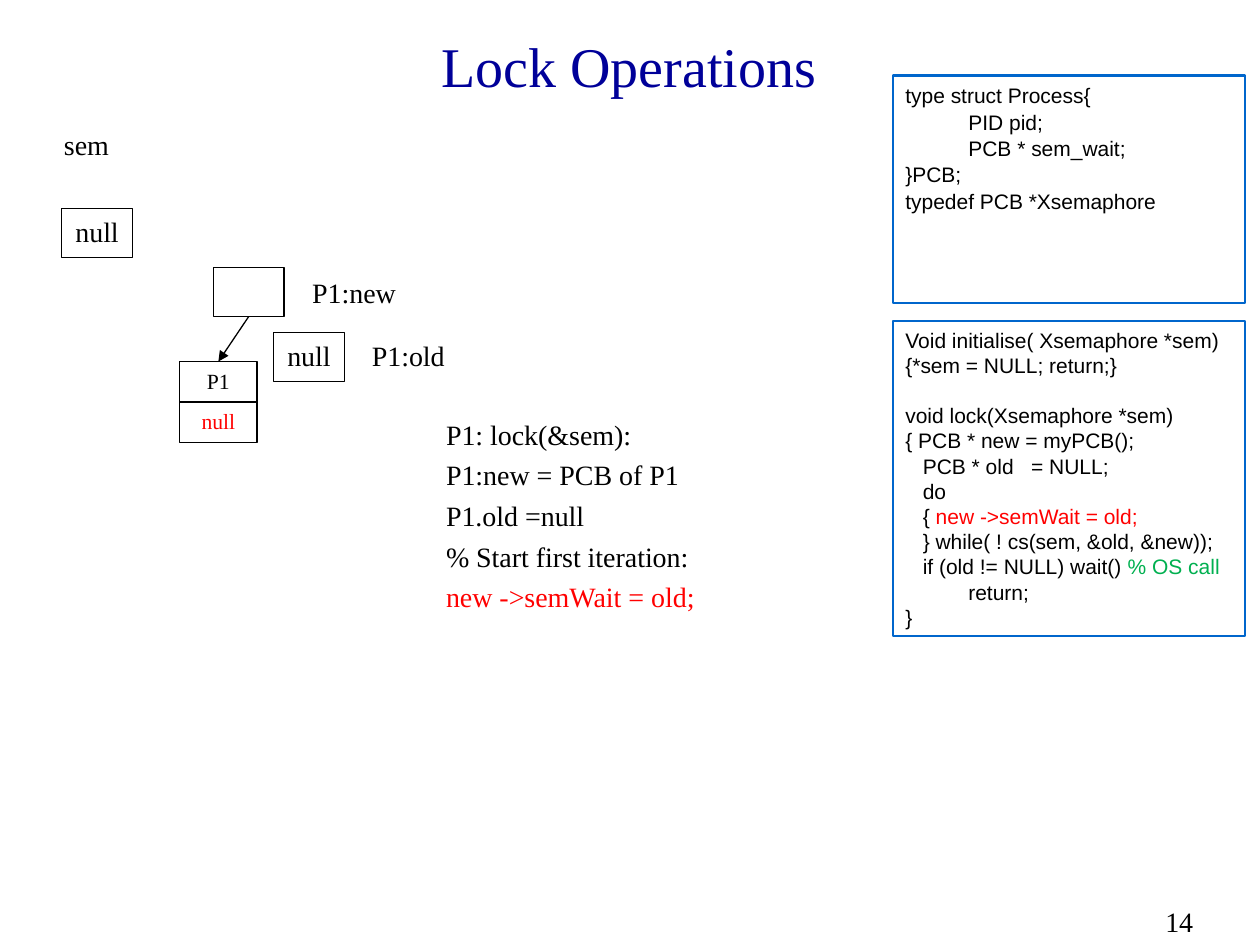
from dataclasses import dataclass
from typing import NamedTuple, Optional

from lxml import etree
from pptx import Presentation, util as u
from pptx.dml.color import RGBColor
from pptx.enum import shapes, text
from pptx.oxml.ns import qn


@dataclass(frozen=True)
class Theme:
    black: str = "000000"
    white: str = "FFFFFF"
    red: str = "FF0000"
    green: str = "00B050"
    navy: str = "000099"
    blue: str = "0066CC"
    serif: str = "Times New Roman"
    sans: str = "Arial"
    title_size: float = 32
    body_size: float = 16
    node_size: float = 12.4
    code_size: float = 12


THEME = Theme()
LEFT, CENTER = text.PP_ALIGN.LEFT, text.PP_ALIGN.CENTER


class Area(NamedTuple):
    left: float
    top: float
    width: float
    height: float


class Piece(NamedTuple):
    words: str
    color: str = THEME.black


@dataclass(frozen=True)
class Style:
    font: str = THEME.serif
    size: float = THEME.body_size
    align: text.PP_ALIGN = LEFT
    gap: float = 4
    spacing: float = 1.0
    anchor: text.MSO_ANCHOR = text.MSO_ANCHOR.TOP
    wrap: bool = True


@dataclass(frozen=True)
class Box:
    area: Area
    lines: tuple = ()
    style: Style = Style(align=CENTER, wrap=False)
    fill: Optional[str] = THEME.white
    line: Optional[str] = THEME.black
    line_width: float = 0.75


LABEL = Style()
CELL = Style(align=CENTER, wrap=False)
NODE = Style(size=THEME.node_size, align=CENTER, wrap=False)
CODE = Style(font=THEME.sans, size=THEME.code_size, gap=0)
STRUCT = Style(font=THEME.sans, size=THEME.code_size, gap=0, spacing=1.05)
TITLE = Style(size=THEME.title_size, align=CENTER, anchor=text.MSO_ANCHOR.MIDDLE)


def rgb(color: str) -> RGBColor:
    return RGBColor.from_string(color)


def apply(target, values: dict) -> None:
    for name, value in values.items():
        setattr(target, name, value)


def write(shape, lines: tuple, style: Style, gaps: Optional[dict] = None) -> None:
    """Fill a shape with lines; a line is a string or a tuple of pieces."""
    frame = shape.text_frame
    apply(frame, {
        "word_wrap": style.wrap, "vertical_anchor": style.anchor,
        "margin_left": u.Pt(7.2), "margin_right": u.Pt(7.2),
        "margin_top": u.Pt(3.6), "margin_bottom": u.Pt(3.6),
    })
    for index, line in enumerate(lines):
        paragraph = frame.add_paragraph() if index else frame.paragraphs[0]
        gap = (gaps or {}).get(index, style.gap if index else 0)
        apply(paragraph, {
            "alignment": style.align, "line_spacing": style.spacing,
            "space_before": u.Pt(gap), "space_after": u.Pt(0),
        })
        for piece in (Piece(line),) if isinstance(line, str) else line:
            run = paragraph.add_run()
            run.text = piece.words
            apply(run.font, {"name": style.font, "size": u.Pt(style.size)})
            run.font.color.rgb = rgb(piece.color)


def draw_label(slide, area: Area, lines: tuple, style: Style = LABEL) -> None:
    write(slide.shapes.add_textbox(*map(u.Pt, area)), lines, style)


def draw_box(slide, box: Box, gaps: Optional[dict] = None):
    shape = slide.shapes.add_shape(shapes.MSO_SHAPE.RECTANGLE, *map(u.Pt, box.area))
    shape.shadow.inherit = False
    if box.fill:
        shape.fill.solid()
        shape.fill.fore_color.rgb = rgb(box.fill)
    else:
        shape.fill.background()
    if box.line:
        shape.line.color.rgb = rgb(box.line)
        shape.line.width = u.Pt(box.line_width)
    else:
        shape.line.fill.background()
    write(shape, box.lines, box.style, gaps)
    return shape


def draw_arrow(slide, start, end) -> None:
    """Join the bottom of one box to the top of another."""
    arrow = slide.shapes.add_connector(shapes.MSO_CONNECTOR.STRAIGHT, 0, 0, 0, 0)
    arrow.begin_connect(start, 2)
    arrow.end_connect(end, 0)
    arrow.line.color.rgb = rgb(THEME.black)
    arrow.line.width = u.Pt(0.75)
    etree.SubElement(arrow.line._get_or_add_ln(), qn("a:tailEnd"), type="triangle")
    etree.SubElement(arrow._element.spPr, qn("a:effectLst"))


def main() -> None:
    presentation = Presentation()
    apply(presentation, {"slide_width": u.Pt(720), "slide_height": u.Pt(540)})
    slide = presentation.slides.add_slide(presentation.slide_layouts[5])

    # Title and slide number
    title = slide.shapes.title
    title_area = Area(53.3, 12.2, 612, 49.7)
    apply(title, dict(zip(Area._fields, map(u.Pt, title_area))))
    write(title, ((Piece("Lock Operations", THEME.navy),),), TITLE)
    draw_label(slide, Area(658.8, 513.4, 61.2, 26.6), ("14",))

    # Semaphore variable
    draw_label(slide, Area(29.5, 69.1, 139.7, 26.6), ("sem",))
    cell_width, cell_height = 40.5, 28
    draw_box(slide, Box(Area(35.2, 119, cell_width, cell_height), ("null",)))

    # Process control block of P1
    node_lines = (("P1",), ((Piece("null", THEME.red),),))
    node_height = 23.1
    node_head, _ = [
        draw_box(slide, Box(Area(102.7, 206.6 + row * node_height, 44.2, node_height),
                            lines, NODE))
        for row, lines in enumerate(node_lines)
    ]

    # Local variables of P1
    pointer = draw_box(slide, Box(Area(121.8, 153, cell_width, cell_height)))
    draw_box(slide, Box(Area(167, 154.1, 70.6, cell_height), ("P1:new",), CELL, line=None))
    draw_arrow(slide, pointer, node_head)
    draw_box(slide, Box(Area(156.3, 190, cell_width, cell_height), ("null",)))
    draw_box(slide, Box(Area(198, 190, 70.6, cell_height), ("P1:old",), CELL, line=None))

    # Execution trace
    draw_label(slide, Area(247.8, 234.9, 254.9, 142.6), (
        "P1: lock(&sem):",
        "P1:new = PCB of P1",
        "P1.old =null",
        "% Start first iteration:",
        (Piece("new ->semWait = old;", THEME.red),),
    ))

    # Code panels
    panel_left, panel_width = 510.3, 201.2
    draw_box(slide, Box(Area(panel_left, 43, panel_width, 130.2), (
        "type struct Process{",
        "\tPID pid;",
        "\tPCB * sem_wait;",
        "}PCB;",
        "typedef PCB *Xsemaphore",
    ), STRUCT, None, THEME.blue, 1.5))
    draw_box(slide, Box(Area(panel_left, 183.4, panel_width, 180), (
        "Void initialise( Xsemaphore *sem)",
        "{*sem = NULL; return;}",
        "void lock(Xsemaphore *sem)",
        "{ PCB * new = myPCB();",
        "   PCB * old   = NULL;",
        "   do",
        (Piece("   { "), Piece("new ->semWait = old;", THEME.red)),
        "   } while( ! cs(sem, &old, &new));",
        (Piece("   if (old != NULL) wait() "), Piece("% OS call", THEME.green)),
        "\treturn;",
        "}",
    ), CODE, None, THEME.blue, 1), gaps={2: 14.4})

    presentation.save("out.pptx")


if __name__ == "__main__":
    main()
